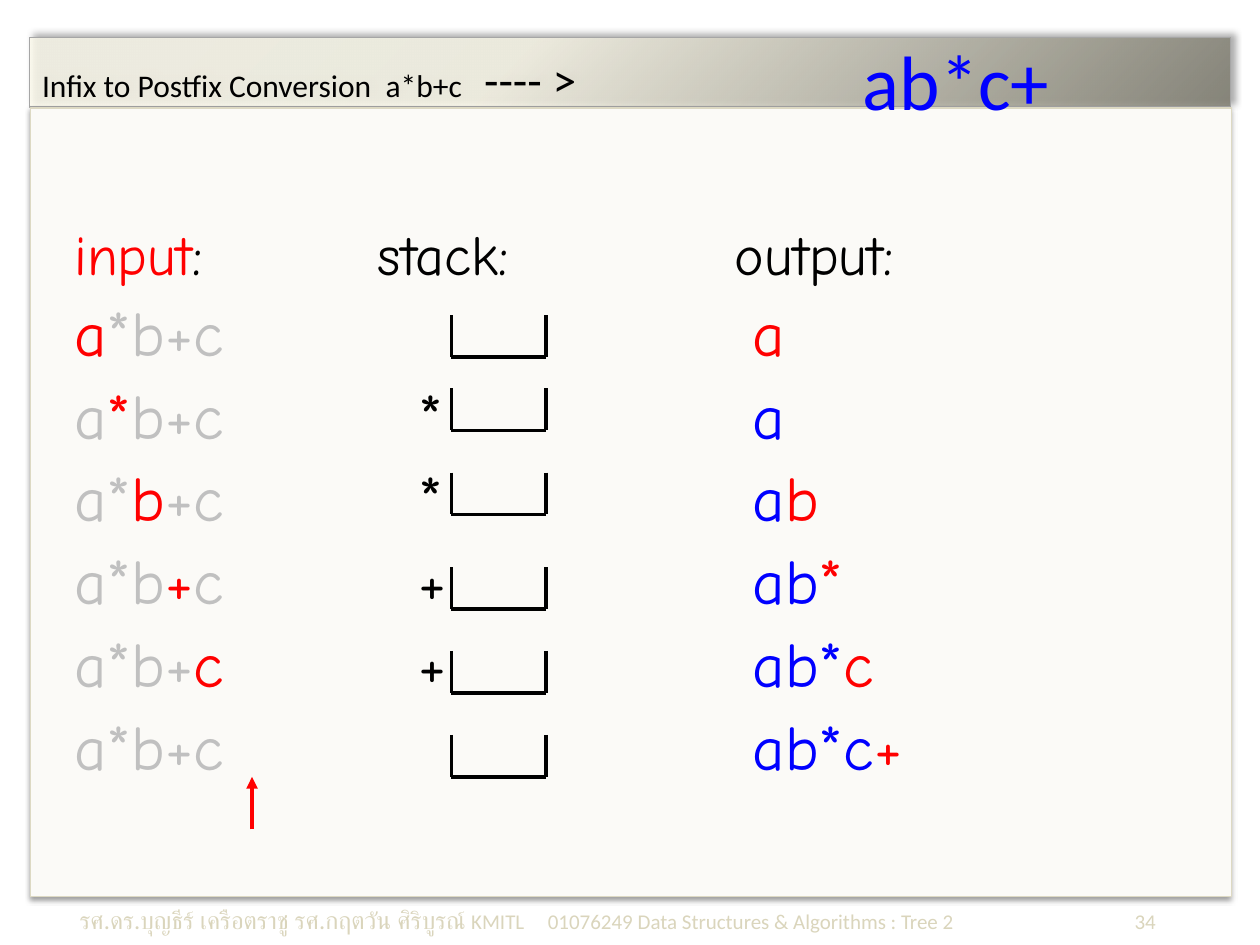
from pptx import Presentation
from pptx.dml.color import RGBColor
from pptx.enum.shapes import MSO_CONNECTOR as Connector, MSO_SHAPE as Shape
from pptx.enum.text import MSO_ANCHOR as Anchor, MSO_AUTO_SIZE as AutoSize, PP_ALIGN as Align
from pptx.oxml import parse_xml
from pptx.oxml.ns import nsdecls
from pptx.util import Pt

EMU_PER_PX = 7620  # 120 px to the inch
COLORS = {
    "black": "000000", "red": "FF0000", "blue": "0000FF", "gray": "C0C0C0",
    "panel": "FBFAF7", "panel line": "DDD9C3", "title line": "A6A6A6",
    "footer": "DAD5BC", "cream": "FEFCEE", "ivory": "FDFAEA", "olive": "7B796B",
}
EXPRESSION = "a*b+c"
# Stack symbol, output so far, output added in this step
STEPS = [("", "", "a"), ("*", "a", ""), ("*", "a", "b"),
         ("+", "ab", "*"), ("+", "ab*", "c"), ("", "ab*c", "+")]
BIN_TOPS = [300, 370, 450, 540, 620, 700]
BIN_LEFT, BIN_WIDTH, BIN_DEPTH = 430, 90, 40


def px(length):
    return length * EMU_PER_PX


def rgb(name):
    return RGBColor.from_string(COLORS[name])


def add_element(parent, xml):
    """Append DrawingML markup, given without its namespace, to parent."""
    tag, rest = xml[:-1].split("<", 1)[1].replace("/", " /", 1).split(" ", 1) \
        if xml.count("<") == 1 else xml[1:-1].split(">", 1)
    joint = " " if xml.count("<") == 1 else ">"
    parent.append(parse_xml(f"<{tag} {nsdecls('a')}{joint}{rest}>"))


def add_shadow(shape, alpha, blur, distance, angle):
    add_element(shape._element.spPr, (
        f'<a:effectLst><a:outerShdw blurRad="{Pt(blur)}" dist="{Pt(distance)}" '
        f'dir="{angle * 60000}" algn="ctr" rotWithShape="0">'
        f'<a:srgbClr val="{COLORS["black"]}"><a:alpha val="{alpha * 1000}"/></a:srgbClr>'
        '</a:outerShdw></a:effectLst>'))


def set_tabs(para, stops):
    """Set tab stops, given as (px, alignment) pairs."""
    tabs = "".join(f'<a:tab pos="{px(at)}" algn="{side}"/>' for at, side in stops)
    add_element(para._p.get_or_add_pPr(), f"<a:tabLst>{tabs}</a:tabLst>")


def add_spans(para, spans, font):
    """Add (text, size, color) runs, leaving out empty ones."""
    for text, size, color in spans:
        if text:
            span = para.add_run()
            span.text = text
            span.font.name = font
            span.font.size = Pt(size)
            span.font.color.rgb = rgb(color)


def add_text_box(slide, left, top, width, height):
    box = slide.shapes.add_textbox(px(left), px(top), px(width), px(height))
    box.text_frame.word_wrap = True
    return box.text_frame


def add_line(shapes, start, end, color="black"):
    line = shapes.add_connector(Connector.STRAIGHT, *map(px, start + end))
    line.line.color.rgb = rgb(color)
    line.line.width = Pt(2.25)
    add_element(line._element.spPr, "<a:effectLst></a:effectLst>")
    return line


def add_panel(slide):
    panel = slide.shapes.add_shape(Shape.RECTANGLE, px(29), px(103), px(1144), px(751))
    panel.fill.solid()
    panel.fill.fore_color.rgb = rgb("panel")
    panel.line.color.rgb = rgb("panel line")
    panel.line.width = Pt(0.75)
    add_shadow(panel, 38, 3.1, 1.6, 90)


def add_title(slide):
    title = slide.shapes.title
    title.left, title.top, title.width, title.height = map(px, (28, 36, 1144, 66))
    stops = "".join(
        f'<a:gs pos="{at * 1000}"><a:srgbClr val="{COLORS[name]}">'
        f'<a:alpha val="79000"/></a:srgbClr></a:gs>'
        for at, name in [(0, "cream"), (40, "ivory"), (100, "olive")])
    properties = title._element.spPr
    add_element(properties, '<a:prstGeom prst="rect"><a:avLst/></a:prstGeom>')
    add_element(properties, f'<a:gradFill><a:gsLst>{stops}</a:gsLst>'
                            '<a:lin ang="2700000" scaled="0"/></a:gradFill>')
    title.line.color.rgb = rgb("title line")
    title.line.width = Pt(0.75)
    add_shadow(title, 40, 4, 3, 315)
    frame = title.text_frame
    frame.auto_size = AutoSize.NONE
    frame.vertical_anchor = Anchor.MIDDLE
    para = frame.paragraphs[0]
    para.alignment = Align.LEFT
    set_tabs(para, [(421, "l")])
    add_spans(para, [("Infix to Postfix Conversion", 18, "black"), (" ", 36, "black"),
                     (EXPRESSION, 18, "black"), ("\t---- >", 27, "black")], "Calibri")


def add_result(slide):
    frame = add_text_box(slide, 810, 26, 240, 100)
    add_spans(frame.paragraphs[0], [("ab*c+", 44, "blue")], "Calibri")


def add_trace(slide):
    """Write the input, stack and output columns, one paragraph a step."""
    frame = add_text_box(slide, 59, 210, 1080, 594)
    rows = [[("input", 32, "red"), (":\tstack:\toutput:", 32, "black")]]
    for index, (symbol, done, added) in enumerate(STEPS):
        rows.append([
            (EXPRESSION[:index], 36, "gray"),
            (EXPRESSION[index:index + 1], 36, "red"),
            (EXPRESSION[index + 1:], 36, "gray"),
            (f"\t{symbol}\t", 36, "black"),
            (done, 36, "blue"),
            (added, 36, "red"),
        ])
    for index, spans in enumerate(rows):
        para = frame.add_paragraph() if index else frame.paragraphs[0]
        para.line_spacing = 0.9
        para.space_before = Pt(8.4)
        set_tabs(para, [(328, "l"), (646, "l")] if index else [(289, "l"), (629, "l")])
        add_spans(para, spans, "Comic Neue")


def add_bin(slide, top):
    shapes = slide.shapes.add_group_shape().shapes
    right, bottom = BIN_LEFT + BIN_WIDTH, top + BIN_DEPTH
    for side in (BIN_LEFT, right):
        add_line(shapes, (side, top), (side, bottom))
    add_line(shapes, (BIN_LEFT, bottom), (right, bottom))


def add_end_arrow(slide):
    arrow = add_line(slide.shapes, (240, 790), (240, 740), "red")
    add_element(arrow.line._get_or_add_ln(), '<a:tailEnd type="triangle"></a:tailEnd>')


def add_footer(slide):
    para = add_text_box(slide, 64, 853, 1078, 44).paragraphs[0]
    set_tabs(para, [(373, "l"), (446, "l"), (1025, "r")])
    add_spans(para, [
        ("รศ.ดร.บุญธีร์ เครือตราชู รศ.กฤตวัน ศิริบูรณ์", 14, "footer"),
        ("\tKMITL\t01076249 Data Structures & Algorithms : Tree 2", 12, "footer"),
        ("\t", 16, "footer"), ("34", 12, "footer")], "Calibri")


def main():
    deck = Presentation()
    deck.slide_width, deck.slide_height = px(1200), px(900)
    slide = deck.slides.add_slide(deck.slide_layouts[5])
    add_panel(slide)
    add_footer(slide)
    add_title(slide)
    add_trace(slide)
    for top in BIN_TOPS:
        add_bin(slide, top)
    add_end_arrow(slide)
    add_result(slide)
    deck.save("out.pptx")


if __name__ == "__main__":
    main()
